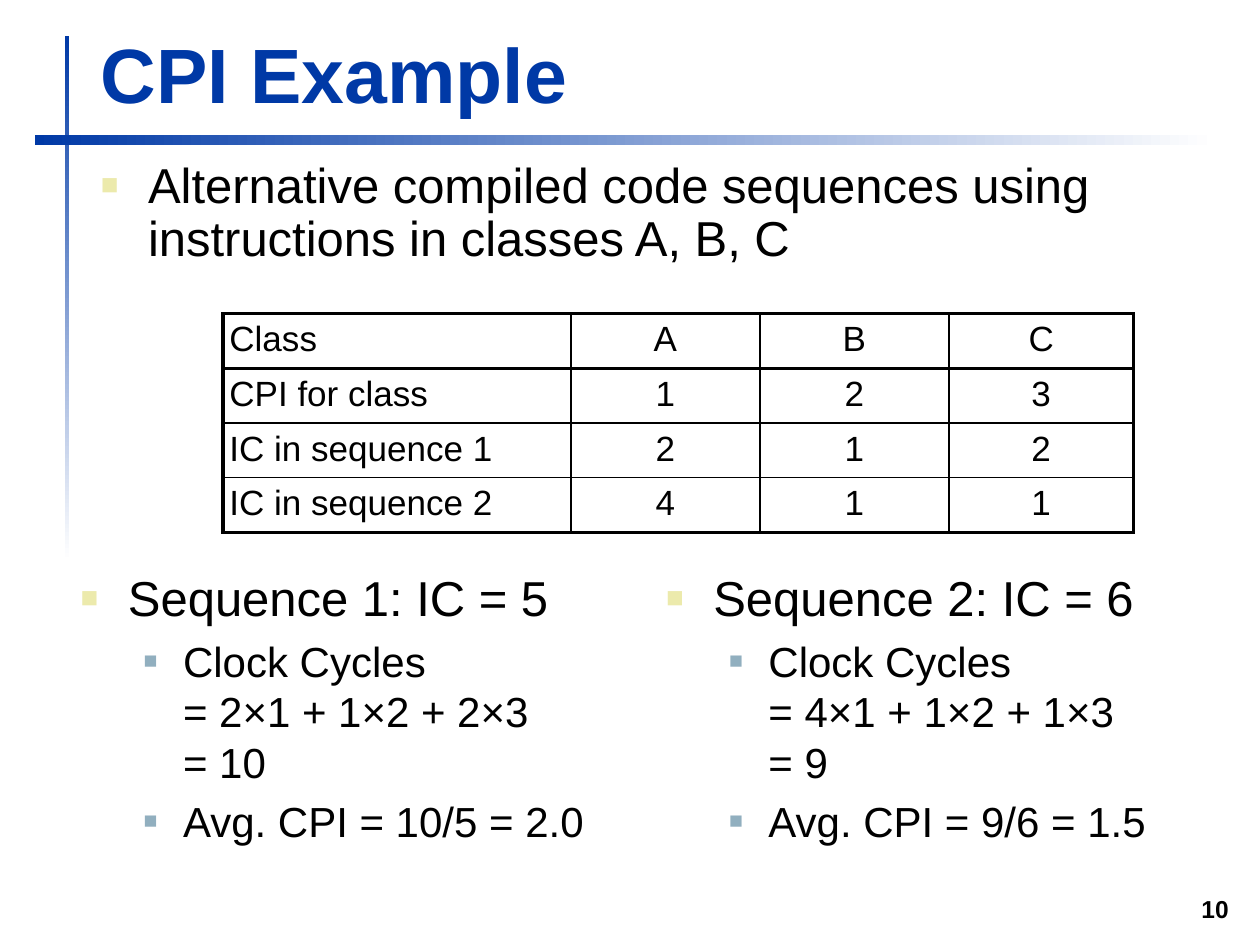
from lxml.etree import SubElement
from pptx import Presentation
from pptx.dml.color import RGBColor
from pptx.enum.shapes import MSO_SHAPE
from pptx.enum.text import MSO_ANCHOR, PP_ALIGN
from pptx.oxml import parse_xml
from pptx.oxml.ns import nsdecls, qn
from pptx.util import Pt

BLUE = RGBColor(0x00, 0x39, 0xA6)
WHITE = RGBColor(0xFF, 0xFF, 0xFF)
BLACK = RGBColor(0x00, 0x00, 0x00)
CREAM = RGBColor(0xEC, 0xEA, 0xAC)
STEEL = RGBColor(0x91, 0xAF, 0xBF)
INSET = Pt(3.6)

# Per outline level: font size, space before, left margin, hanging indent, bullet colour, bullet size
LEVELS = [
    (28, 6, 27, 27, CREAM, 60),
    (24, 5, 58.5, 22.5, STEEL, 55),
]

deck = Presentation()
deck.slide_width, deck.slide_height = Pt(720), Pt(540)
page = deck.slides.add_slide(deck.slide_layouts[6])


def add_text(left, top, width, height, lines, size, color=BLACK, bold=False):
    box = page.shapes.add_textbox(Pt(left), Pt(top), Pt(width), Pt(height))
    frame = box.text_frame
    frame.word_wrap = True
    frame.margin_left = frame.margin_right = INSET
    frame.margin_top = frame.margin_bottom = INSET
    for index, line in enumerate(lines):
        para = frame.paragraphs[0] if index == 0 else frame.add_paragraph()
        para.text = line
        for span in para.runs:
            span.font.name, span.font.size = "Arial", Pt(size)
            span.font.color.rgb, span.font.bold = color, bold
    return frame


def add_outline(left, top, width, height, lines):
    """First line is the heading; the rest are second-level points."""
    frame = add_text(left, top, width, height, lines, LEVELS[0][0])
    for index, para in enumerate(frame.paragraphs):
        level = min(index, 1)
        size, before, margin, hang, color, percent = LEVELS[level]
        para.level = level
        para.space_before = Pt(before)
        for span in para.runs:
            span.font.size = Pt(size)
        props = para._p.get_or_add_pPr()
        props.set("marL", str(Pt(margin)))
        props.set("indent", str(-Pt(hang)))
        bullet_color = SubElement(props, qn("a:buClr"))
        SubElement(bullet_color, qn("a:srgbClr"), val=str(color))
        SubElement(props, qn("a:buSzPct"), val=str(percent * 1000))
        SubElement(props, qn("a:buFont"), typeface="Arial")
        SubElement(props, qn("a:buChar"), char="■")
    return frame


# Fading bars beside and below the title
for left, top, width, height, angle in [
    (37, 20.5, 2.5, 300, 90),
    (19.75, 77, 675, 6, 180),
]:
    bar = page.shapes.add_shape(
        MSO_SHAPE.RECTANGLE, Pt(left), Pt(top), Pt(width), Pt(height))
    bar.shadow.inherit = False
    bar.line.fill.background()
    bar.fill.gradient()
    bar.fill.gradient_angle = angle
    for stop, color in zip(bar.fill.gradient_stops, (WHITE, BLUE)):
        stop.color.rgb = color

# Title and slide number
title = add_text(54, 11.5, 650, 60, ["CPI Example"], 44, BLUE, True)
title.vertical_anchor = MSO_ANCHOR.BOTTOM
number = add_text(681.75, 508.25, 24, 23, ["10"], 14, BLACK, True)
number.word_wrap = False
number.vertical_anchor = MSO_ANCHOR.BOTTOM
number.paragraphs[0].alignment = PP_ALIGN.RIGHT

# Introduction
intro = add_outline(54, 88.5, 651.5, 78.5, [
    "Alternative compiled code sequences using instructions in classes A, B, C"])
intro.paragraphs[0].line_spacing = 0.9

# Table of instruction classes
ROWS = [
    ("Class", "A", "B", "C"),
    ("CPI for class", "1", "2", "3"),
    ("IC in sequence 1", "2", "1", "2"),
    ("IC in sequence 2", "4", "1", "1"),
]
COLUMN_WIDTHS = (198.75, 108, 108, 105.5)
ROW_HEIGHT = 31.25
last_row, last_column = len(ROWS) - 1, len(COLUMN_WIDTHS) - 1
table = page.shapes.add_table(
    len(ROWS), len(COLUMN_WIDTHS), Pt(127.5), Pt(179.25),
    Pt(sum(COLUMN_WIDTHS)), Pt(ROW_HEIGHT * len(ROWS))).table
table.first_row = table.horz_banding = False
for column, width in zip(table.columns, COLUMN_WIDTHS):
    column.width = Pt(width)
for r, values in enumerate(ROWS):
    table.rows[r].height = Pt(ROW_HEIGHT)
    for c, value in enumerate(values):
        cell = table.cell(r, c)
        cell.margin_left = cell.margin_right = INSET
        cell.margin_top = cell.margin_bottom = INSET
        cell.fill.background()
        para = cell.text_frame.paragraphs[0]
        para.text = value
        para.space_before = Pt(4)
        para.alignment = PP_ALIGN.CENTER if c else PP_ALIGN.LEFT
        font = para.runs[0].font
        font.name, font.size, font.color.rgb = "Arial", Pt(20), BLACK

        # Heavy frame and heavy rule under the header, thin lines elsewhere
        heavy = {"L": c == 0, "R": c == last_column,
                 "T": r <= 1, "B": r in (0, last_row)}
        for index, (side, is_heavy) in enumerate(heavy.items()):
            width = Pt(2.25 if is_heavy else 1)
            cell._tc.get_or_add_tcPr().insert(index, parse_xml(
                f'<a:ln{side} {nsdecls("a")} w="{width}"><a:solidFill>'
                f'<a:srgbClr val="{BLACK}"/></a:solidFill></a:ln{side}>'))

# The two sequences side by side
SEQUENCES = [
    (42.5, "Sequence 1: IC = 5", "Clock Cycles\n= 2×1 + 1×2 + 2×3\n= 10",
     "Avg. CPI = 10/5 = 2.0"),
    (377, "Sequence 2: IC = 6", "Clock Cycles\n= 4×1 + 1×2 + 1×3\n= 9",
     "Avg. CPI = 9/6 = 1.5"),
]
for left, *lines in SEQUENCES:
    add_outline(left, 321, 306, 162, lines)

deck.save("out.pptx")
